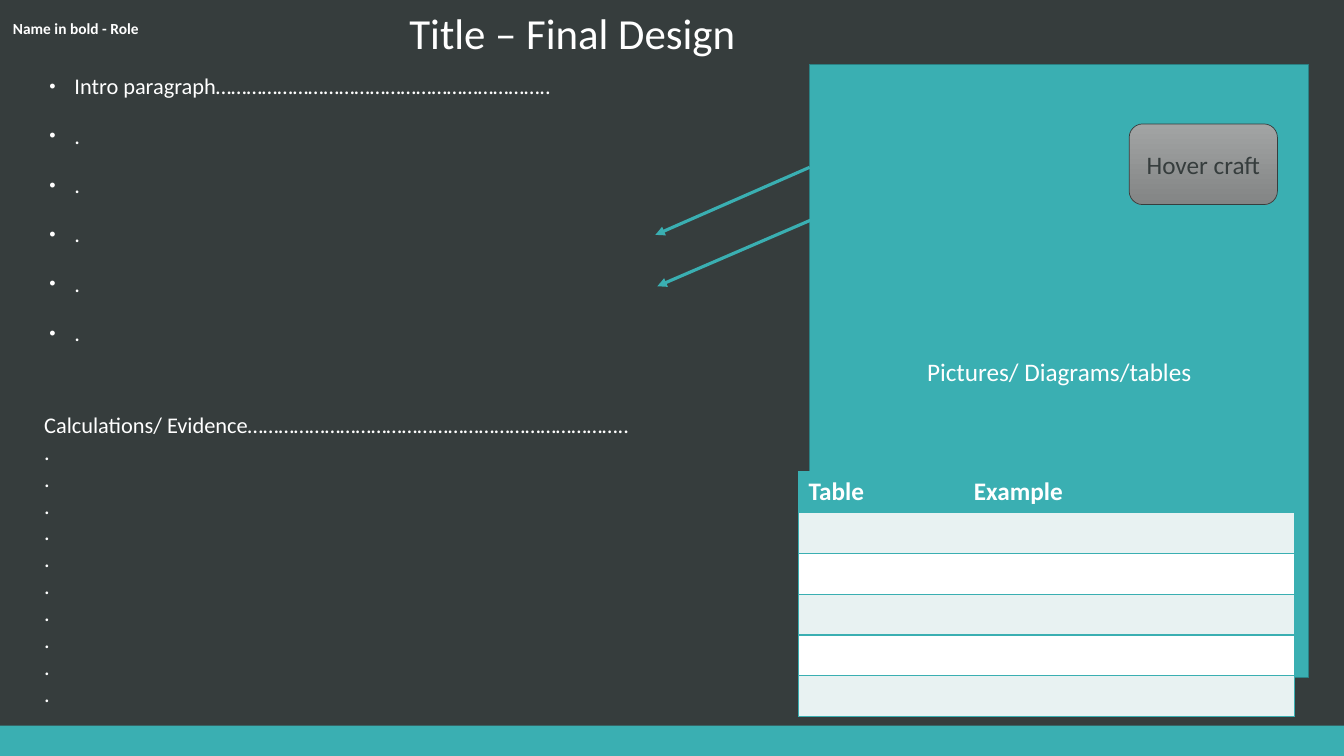
"""Build the final design slide with notes, a diagram panel and an example table."""
from lxml import etree
from pptx import Presentation
from pptx import util as u
from pptx.dml.color import RGBColor
from pptx.enum import shapes, text
from pptx.oxml.ns import qn

COLORS = {"dark": "363D3D", "teal": "3AAFB2", "edge": "2B8184", "white": "FFFFFF",
          "band": "E8F2F2", "silver": "A2A4A4", "grey": "838585"}


def rgb(name):
    return RGBColor.from_string(COLORS[name])


def write(para, words, size, color="white", bold=False):
    span = para.add_run()
    span.text = words
    span.font.name = "Calibri"
    span.font.size = u.Pt(size)
    span.font.bold = bold
    span.font.color.rgb = rgb(color)


deck = Presentation()
deck.slide_width, deck.slide_height = u.Inches(13.33), u.Inches(7.5)
page = deck.slides.add_slide(deck.slide_layouts[5])
page.background.fill.solid()
page.background.fill.fore_color.rgb = rgb("dark")

title = page.shapes.title
title.left, title.top = u.Inches(3.96), u.Inches(0.04)
title.width, title.height = u.Inches(5.12), u.Inches(0.59)
title.text_frame.vertical_anchor = text.MSO_ANCHOR.BOTTOM
title.text_frame.word_wrap = True
title_para = title.text_frame.paragraphs[0]
title_para.alignment = text.PP_ALIGN.LEFT
title_para.line_spacing = 0.9
write(title_para, "Title – Final Design", 30.6)

intro = ["Intro paragraph" + "…" * 21 + ".."] + ["."] * 5
evidence = ["Calculations/ Evidence" + "…" * 24 + ".."] + ["."] * 10
for left, top, width, height, lines, size, bold, bulleted in [
    (0.34, 0.7, 6.49, 3.33, intro, 16, False, True),
    (0.03, 0.14, 1.46, 0.29, ["Name in bold - Role"], 11, True, False),
    (0.34, 4.03, 6.78, 3.06, evidence, 16, False, False),
]:
    box = page.shapes.add_textbox(*map(u.Inches, (left, top, width, height)))
    frame = box.text_frame
    frame.word_wrap = len(lines) > 1
    for index, line in enumerate(lines):
        para = frame.add_paragraph() if index else frame.paragraphs[0]
        if bulleted:
            para.line_spacing = 0.9
            para.space_before = u.Pt(18)
            props = para._p.get_or_add_pPr()
            props.set("marL", str(u.Inches(0.3)))
            props.set("indent", str(u.Inches(-0.25)))
            etree.SubElement(props, qn("a:buSzPct")).set("val", "80000")
            etree.SubElement(props, qn("a:buFont")).set("typeface", "Arial")
            etree.SubElement(props, qn("a:buChar")).set("char", "•")
        write(para, line, size, bold=bold)

kinds = shapes.MSO_SHAPE
for kind, place, fills, edge, weight, label, color in [
    (kinds.RECTANGLE, (0, 7.2, 13.33, 0.3), ["teal"], None, 0, "", "white"),
    (kinds.RECTANGLE, (8.03, 0.64, 4.95, 6.08), ["teal"], "edge", 1,
     "Pictures/ Diagrams/tables", "white"),
    (kinds.ROUNDED_RECTANGLE, (11.2, 1.23, 1.47, 0.8), ["silver", "grey"], "dark", 0.5,
     "Hover craft", "dark"),
]:
    panel = page.shapes.add_shape(kind, *map(u.Inches, place))
    panel.shadow.inherit = False
    if len(fills) == 1:
        panel.fill.solid()
        panel.fill.fore_color.rgb = rgb(fills[0])
    else:
        panel.fill.gradient()
        panel.fill.gradient_angle = 270
        for stop, name, position in zip(panel.fill.gradient_stops, fills, (0, 1)):
            stop.color.rgb = rgb(name)
            stop.position = position
    if edge:
        panel.line.color.rgb = rgb(edge)
        panel.line.width = u.Pt(weight)
    else:
        panel.line.fill.background()
    if label:
        panel.text_frame.vertical_anchor = text.MSO_ANCHOR.MIDDLE
        para = panel.text_frame.paragraphs[0]
        para.alignment = text.PP_ALIGN.CENTER
        write(para, label, 18, color)

for ends in [(8.03, 1.66, 6.5, 2.33), (8.05, 2.18, 6.52, 2.84)]:
    arrow = page.shapes.add_connector(shapes.MSO_CONNECTOR.STRAIGHT, *map(u.Inches, ends))
    arrow.line.color.rgb = rgb("teal")
    arrow.line.width = u.Pt(2.25)
    etree.SubElement(arrow.line._get_or_add_ln(), qn("a:tailEnd")).set("type", "triangle")
    etree.SubElement(arrow._element.spPr, qn("a:effectLst"))

rows, columns = 6, 3
place = (7.92, 4.68, 4.92, 2.43)
table = page.shapes.add_table(rows, columns, *map(u.Inches, place)).table
headings = ["Table", "Example", ""]
for row in range(rows):
    for column in range(columns):
        cell = table.cell(row, column)
        cell.fill.solid()
        cell.fill.fore_color.rgb = rgb("teal" if row == 0 else "band" if row % 2 else "white")
        if row == 0 and headings[column]:
            write(cell.text_frame.paragraphs[0], headings[column], 18, bold=True)
        drawn = {"L": column == 0, "R": column == columns - 1, "T": True, "B": True}
        for position, (side, visible) in enumerate(drawn.items()):
            border = etree.Element(qn(f"a:ln{side}"), w=str(u.Pt(1)))
            if visible:
                paint = etree.SubElement(border, qn("a:solidFill"))
                etree.SubElement(paint, qn("a:srgbClr")).set("val", COLORS["teal"])
            else:
                etree.SubElement(border, qn("a:noFill"))
            cell._tc.get_or_add_tcPr().insert(position, border)

deck.save("out.pptx")
